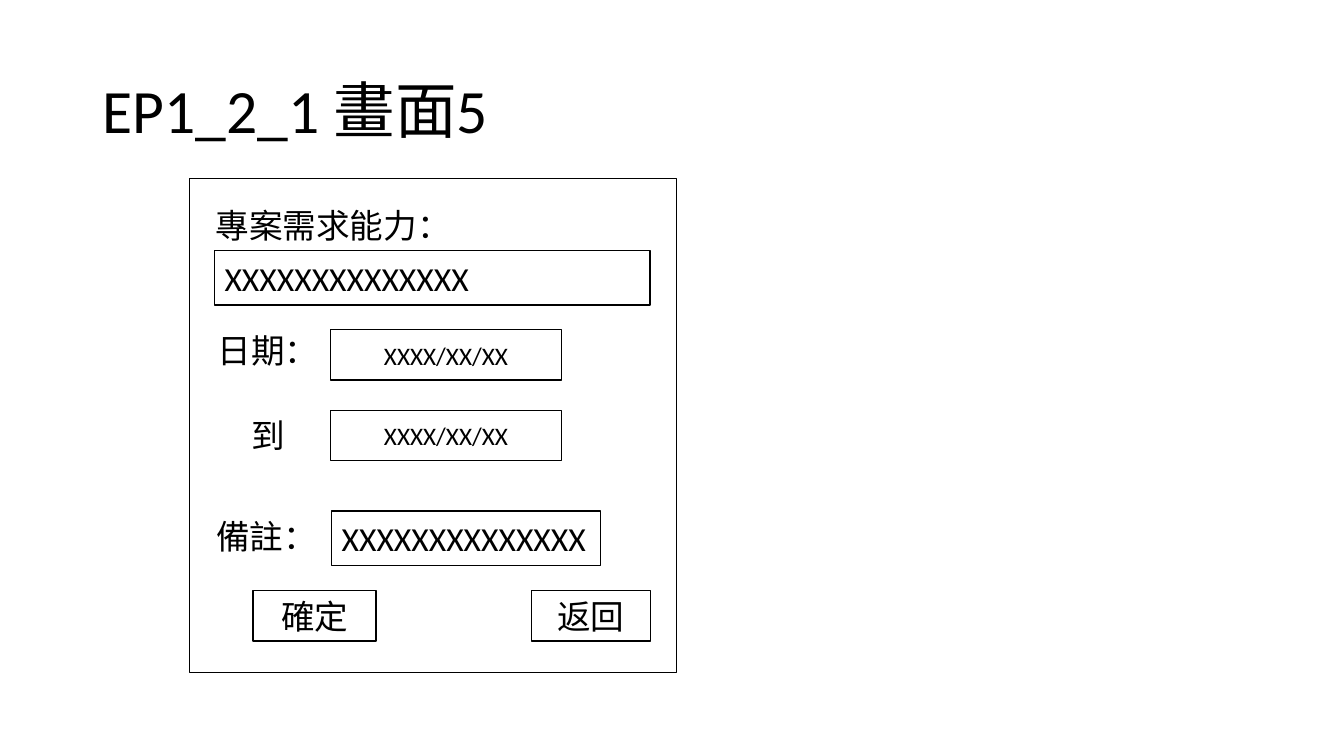
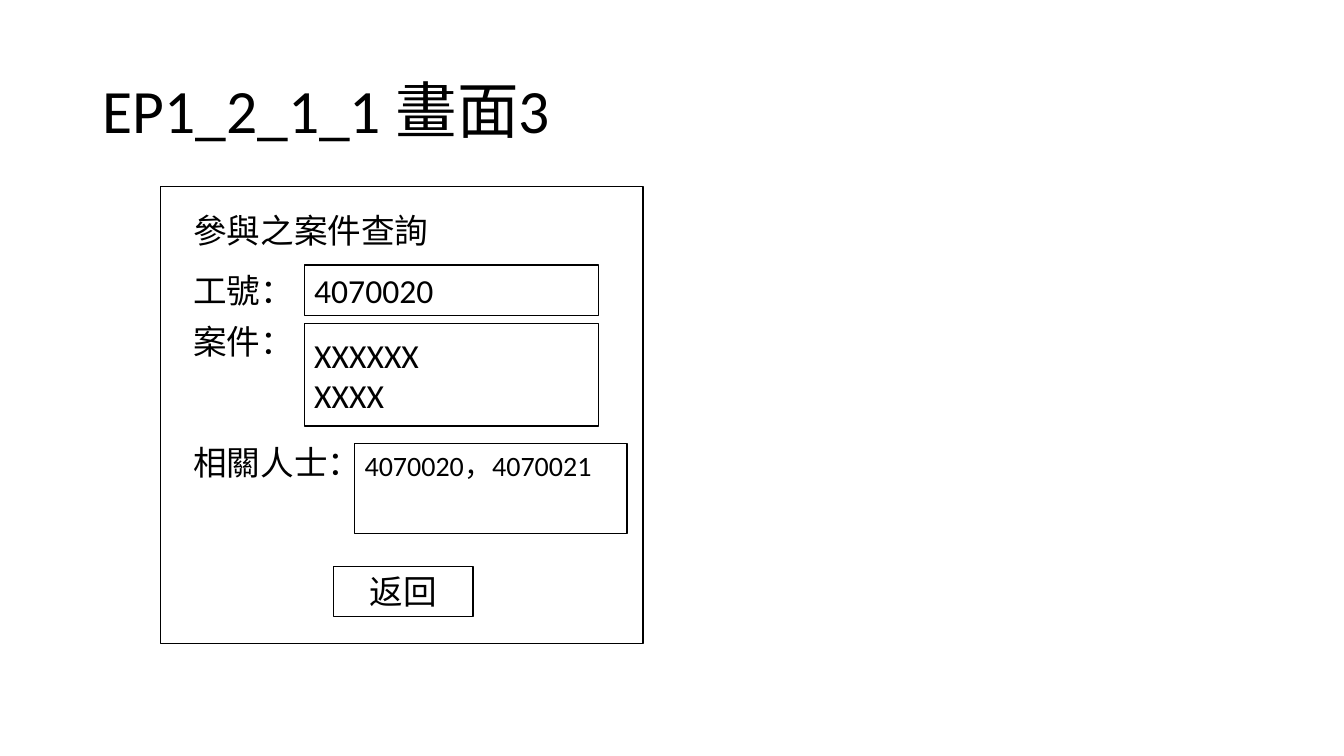
from pptx import Presentation
from pptx.dml.color import RGBColor
from pptx.enum.shapes import MSO_SHAPE
from pptx.enum.text import MSO_ANCHOR, PP_ALIGN
from pptx.util import Cm, Pt

INK, PAPER = "000000", "FFFFFF"
LEFT, CENTER = PP_ALIGN.LEFT, PP_ALIGN.CENTER
TOP, MIDDLE = MSO_ANCHOR.TOP, MSO_ANCHOR.MIDDLE
ROW = 1.27  # usual height of a label, field or button


def rgb(value):
    return RGBColor.from_string(value)


def write(tf, text, size=24, align=LEFT, anchor=MIDDLE):
    tf.text = text
    tf.word_wrap = True
    tf.vertical_anchor = anchor
    for p in tf.paragraphs:
        p.alignment = align
        for name, value in {"name": "Calibri", "size": Pt(size)}.items():
            setattr(p.font, name, value)
        p.font.color.rgb = rgb(INK)


# Screens: title, frame, labels (left, top, width, text, alignment)
# and boxes (left, top, width, height, text, format)
button = {"align": CENTER}
date = {"align": CENTER, "size": 18}
screens = [
    {
        "title": "EP1_2_1 畫面5",
        "frame": (4.78, 4.5, 12.27, 12.45),
        "labels": [
            (5.18, 5.05, 11.63, "專案需求能力：", LEFT),
            (5.18, 8.2, 3.15, "日期：", CENTER),
            (5.18, 10.34, 3.15, "到", CENTER),
            (5.2, 12.88, 3.15, "備註：", LEFT),
        ],
        "boxes": [
            (5.41, 6.32, 10.97, 1.37, "XXXXXXXXXXXXXX", {}),
            (8.33, 8.31, 5.82, ROW, "XXXX/XX/XX", date),
            (8.33, 10.34, 5.82, ROW, "XXXX/XX/XX", date),
            (8.36, 12.88, 6.78, 1.37, "XXXXXXXXXXXXXX", {}),
            (6.38, 14.88, 3.1, ROW, "確定", button),
            (13.39, 14.88, 3, ROW, "返回", button),
        ],
    },
    {
        "title": "EP1_2_1_1 畫面3",
        "frame": (4.04, 4.7, 12.17, 11.51),
        "labels": [
            (4.62, 5.16, 7.75, "參與之案件查詢", LEFT),
            (4.62, 6.68, 3.15, "工號：", LEFT),
            (4.62, 7.95, 3.15, "案件：", LEFT),
            (4.62, 11, 4.9, "相關人士：", LEFT),
        ],
        "boxes": [
            (7.67, 6.68, 7.42, ROW, "4070020", {}),
            (7.67, 8.15, 7.42, 2.59, "XXXXXX\nXXXX", {}),
            (8.94, 11.18, 6.86, 2.26, "4070020，4070021",
             {"size": 20, "anchor": TOP}),
            (8.41, 14.27, 3.51, ROW, "返回", button),
        ],
    },
]

prs = Presentation()
prs.slide_width, prs.slide_height = Cm(33.87), Cm(19.05)

# Shared title position
layout = prs.slide_layouts[5]
title = layout.placeholders[0]
title.left, title.top, title.width, title.height = map(Cm, (2.33, 1.02, 29.21, 3.68))

for screen in screens:
    s = prs.slides.add_slide(layout)
    tf = s.shapes.title.text_frame
    write(tf, screen["title"], size=44)
    tf.paragraphs[0].line_spacing = 0.9

    # Labels
    for left, top, width, text, align in screen["labels"]:
        sp = s.shapes.add_textbox(Cm(left), Cm(top), Cm(width), Cm(ROW))
        write(sp.text_frame, text, align=align, anchor=TOP)

    # Frame, then fields and buttons
    for *place, text, style in [(*screen["frame"], "", {})] + screen["boxes"]:
        sp = s.shapes.add_shape(MSO_SHAPE.RECTANGLE, *map(Cm, place))
        sp.shadow.inherit = False
        sp.line.color.rgb = rgb(INK)
        sp.line.width = Pt(1)
        if text:
            sp.fill.solid()
            sp.fill.fore_color.rgb = rgb(PAPER)
            write(sp.text_frame, text, **style)
        else:
            sp.fill.background()

prs.save("out.pptx")
